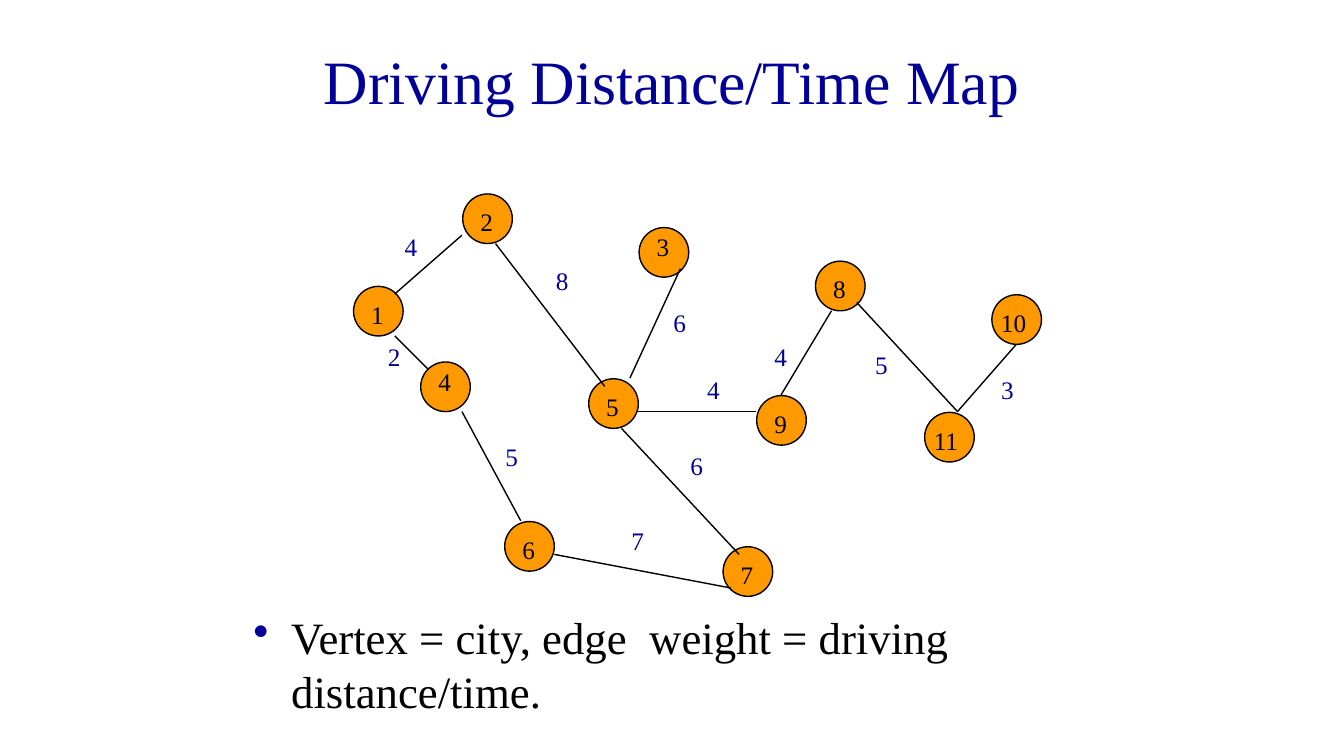
from lxml.etree import SubElement
from pptx import Presentation
from pptx.dml.color import RGBColor
from pptx.enum.shapes import MSO_CONNECTOR, MSO_SHAPE
from pptx.enum.text import MSO_ANCHOR, PP_ALIGN
from pptx.oxml.ns import qn
from pptx.util import Cm, Pt

TITLE = "Driving Distance/Time Map"
CAPTION = "Vertex = city, edge  weight = driving distance/time."

# city: grid position of the circle, label offset, label width
CITIES = {
    "1": ((42, 34), (1, 1), 3),
    "2": ((55, 23), (1, 1), 3),
    "3": ((76, 27), (1, 0), 3),
    "8": ((97, 31), (1, 1), 3),
    "10": ((118, 35), (0, 1), 6),
    "4": ((50, 43), (1, 0), 3),
    "5": ((70, 45), (1, 1), 3),
    "9": ((90, 47), (1, 1), 3),
    "11": ((110, 49), (0, 1), 10),
    "6": ((60, 62), (1, 1), 3),
    "7": ((86, 65), (1, 1), 3),
}
# weight, grid position of its label, start and end of the road
ROADS = [
    ("4", (47, 27), (55, 28), (47, 35)),
    ("8", (65, 31), (59, 29), (72, 46)),
    ("2", (45, 40), (47, 40), (51, 44)),
    ("5", (59, 52), (55, 49), (62, 62)),
    ("7", (74, 62), (66, 66), (87, 70)),
    ("6", (79, 36), (81, 32), (75, 45)),
    ("6", (81, 53), (74, 51), (88, 66)),
    ("4", (91, 40), (99, 37), (93, 47)),
    ("5", (103, 41), (102, 36), (114, 49)),
    ("3", (118, 44), (114, 49), (121, 41)),
    ("4", (83, 44), (76, 49), (90, 49)),
]
COLORS = {"navy": "000099", "black": "000000", "orange": "FF9900"}
FONT = "Times New Roman"
GRID = 2.54 / 12
INSET = 0.02
DIAMETER = Cm(1.25)
LABEL_HEIGHT = Cm(1.02)
WEIGHT_WIDTH = 4


def color(name):
    return RGBColor.from_string(COLORS[name])


def grid(steps):
    return Cm(steps * GRID)


def format_text(paragraph, size, color_name):
    for run in paragraph.runs:
        run.font.name = FONT
        run.font.size = Pt(size)
        run.font.color.rgb = color(color_name)


def add_text(slide, text, left, top, width, height, size, color_name):
    box = slide.shapes.add_textbox(left, top, width, height)
    box.text_frame.word_wrap = True
    paragraph = box.text_frame.paragraphs[0]
    paragraph.text = text
    format_text(paragraph, size, color_name)
    return paragraph


def add_label(slide, text, column, row, width, color_name):
    add_text(slide, text, grid(column), grid(row), grid(width), LABEL_HEIGHT, 18, color_name)


def add_circle(slide, column, row):
    circle = slide.shapes.add_shape(
        MSO_SHAPE.OVAL, grid(column) + Cm(INSET), grid(row) + Cm(INSET), DIAMETER, DIAMETER)
    circle.shadow.inherit = False
    circle.fill.solid()
    circle.fill.fore_color.rgb = color("orange")
    circle.line.color.rgb = color("black")
    circle.line.width = Pt(1)


def add_road(slide, start, end):
    points = [grid(step) for step in start + end]
    road = slide.shapes.add_connector(MSO_CONNECTOR.STRAIGHT, *points)
    road.line.color.rgb = color("black")
    road.line.width = Pt(1)
    SubElement(road._element.spPr, qn("a:effectLst"))


def add_bullet(paragraph, color_name):
    properties = paragraph._p.get_or_add_pPr()
    properties.set("marL", str(Cm(0.95)))
    properties.set("indent", str(-Cm(0.95)))
    bullet_color = SubElement(properties, qn("a:buClr"))
    SubElement(bullet_color, qn("a:srgbClr"), val=COLORS[color_name])
    SubElement(properties, qn("a:buChar"), char="•")


def main():
    presentation = Presentation()
    presentation.slide_width, presentation.slide_height = Cm(33.87), Cm(19.05)
    slide = presentation.slides.add_slide(presentation.slide_layouts[5])

    title = slide.shapes.title
    title.left, title.top, title.width, title.height = grid(12), grid(2), grid(136), grid(15)
    title.text_frame.text = TITLE
    title.text_frame.vertical_anchor = MSO_ANCHOR.MIDDLE
    heading = title.text_frame.paragraphs[0]
    heading.alignment = PP_ALIGN.CENTER
    format_text(heading, 44, "navy")

    caption = add_text(
        slide, CAPTION, grid(29), grid(72), grid(102), grid(15), 32, "black")
    add_bullet(caption, "navy")

    for (column, row), _, _ in CITIES.values():
        add_circle(slide, column, row)
    for _, _, start, end in ROADS:
        add_road(slide, start, end)
    for city, ((column, row), (right, down), width) in CITIES.items():
        add_label(slide, city, column + right, row + down, width, "black")
    for weight, (column, row), _, _ in ROADS:
        add_label(slide, weight, column, row, WEIGHT_WIDTH, "navy")

    presentation.save("out.pptx")


if __name__ == "__main__":
    main()
